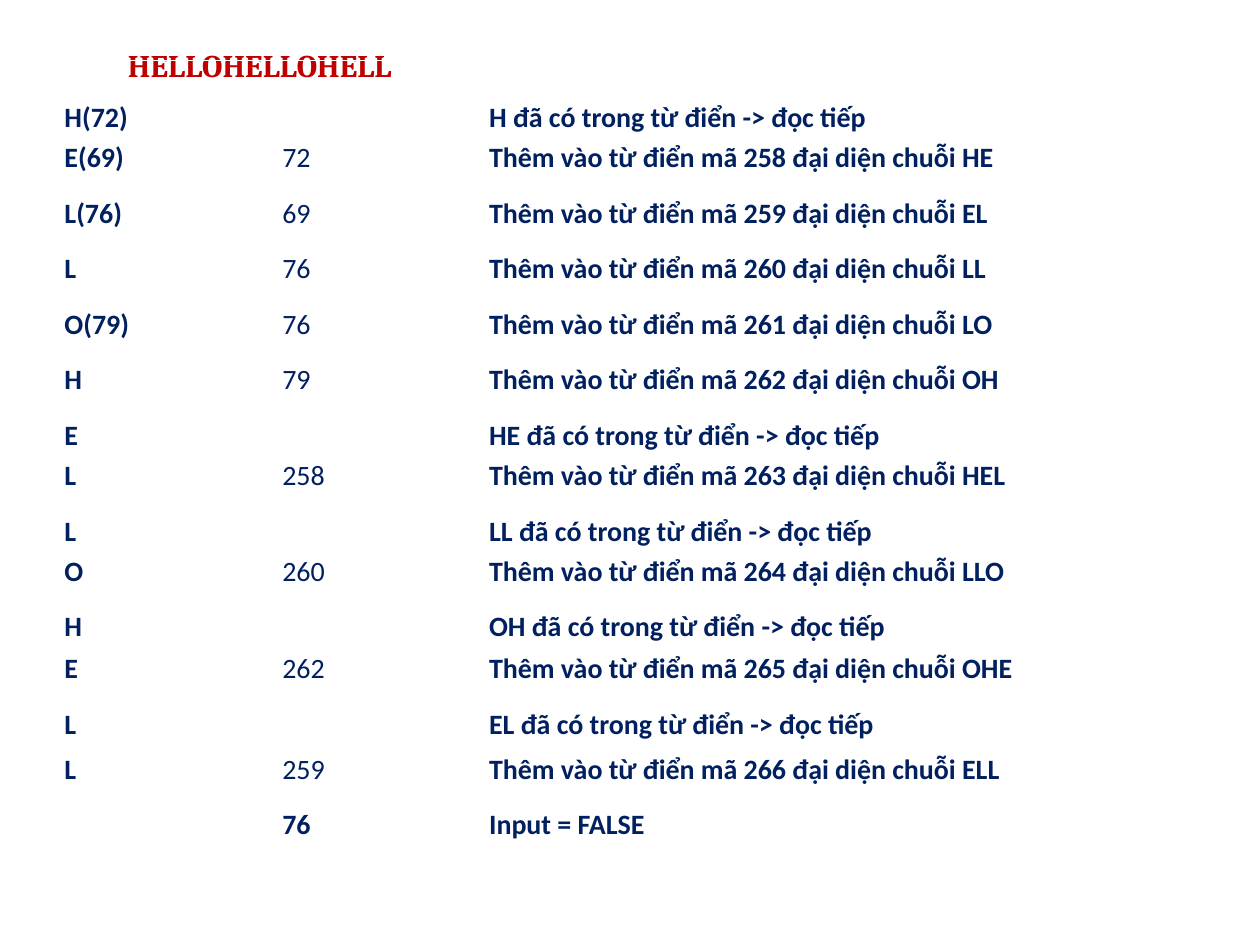
import pptx
import pptx.util
import pptx.dml.color

Cm, Pt = pptx.util.Cm, pptx.util.Pt
NAVY = pptx.dml.color.RGBColor(0x00, 0x20, 0x60)
RED = pptx.dml.color.RGBColor(0xC0, 0x00, 0x00)
WHITE = pptx.dml.color.RGBColor(0xFF, 0xFF, 0xFF)

INPUT_STRING = "HELLOHELLOHELL"
SHORT, TALL = 0.81, 1.12
COLUMN_WIDTHS = (4.04, 4.04, 14.91)
COLUMN_INDENTS = (0.08, 0.43, 0.56)
TITLE_INDENT = 1.36
FIRST_NEW_CODE = 258

# Each step: symbol read, code sent out, string looked up, row height
STEPS = (
    ("H(72)", "", "H", SHORT),
    ("E(69)", "72", "HE", TALL),
    ("L(76)", "69", "EL", TALL),
    ("L", "76", "LL", TALL),
    ("O(79)", "76", "LO", TALL),
    ("H", "79", "OH", TALL),
    ("E", "", "HE", SHORT),
    ("L", "258", "HEL", TALL),
    ("L", "", "LL", SHORT),
    ("O", "260", "LLO", TALL),
    ("H", "", "OH", 0.84),
    ("E", "262", "OHE", TALL),
    ("L", "", "EL", 0.91),
    ("L", "259", "ELL", TALL),
)


def encoding_rows():
    """Return the texts and height of every row below the title."""
    rows = []
    new_code = FIRST_NEW_CODE
    for symbol, output, string, height in STEPS:
        if output:
            action = f"Thêm vào từ điển mã {new_code} đại diện chuỗi {string}"
            new_code += 1
        else:
            action = f"{string} đã có trong từ điển -> đọc tiếp"
        rows.append(((symbol, output, action), height))
    rows.append((("", "76", "Input = FALSE"), SHORT))
    return rows


def write_cell(cell, text, indent, size=16, font="Calibri", color=NAVY, bold=True):
    """Write one indented line of text into a cell and return its paragraph."""
    paragraph = cell.text_frame.paragraphs[0]
    paragraph.text = text
    paragraph._p.get_or_add_pPr().set("marL", str(Cm(indent)))
    style = paragraph.runs[0].font
    style.name, style.size, style.bold = font, Pt(size), bold
    style.color.rgb = color
    return paragraph


def add_encoding_table(slide, left, top):
    """Place the step-by-step encoding table with its corner at left, top."""
    rows = encoding_rows()
    heights = [SHORT] + [height for _, height in rows]
    table = slide.shapes.add_table(
        len(heights), len(COLUMN_WIDTHS), left, top,
        Cm(sum(COLUMN_WIDTHS)), Cm(sum(heights))).table
    table.first_row = table.horz_banding = False
    for column, width in zip(table.columns, COLUMN_WIDTHS):
        column.width = Cm(width)
    for row, height in zip(table.rows, heights):
        row.height = Cm(height)
    for cell in table.iter_cells():
        cell.fill.solid()
        cell.fill.fore_color.rgb = WHITE
        cell.margin_left = cell.margin_right = cell.margin_top = cell.margin_bottom = 0

    table.cell(0, 0).merge(table.cell(0, 2))
    heading = write_cell(table.cell(0, 0), INPUT_STRING, TITLE_INDENT, 18, "Cambria", RED)
    heading.line_spacing = Pt(14.3)

    for row_index, (texts, _) in enumerate(rows, start=1):
        for column_index, text in enumerate(texts):
            if text:
                bold = column_index != 1 or row_index == len(rows)
                paragraph = write_cell(table.cell(row_index, column_index), text,
                                       COLUMN_INDENTS[column_index], bold=bold)
                paragraph.space_before = Pt(3.5)


def main():
    """Build the slide and save it."""
    presentation = pptx.Presentation()
    presentation.slide_width, presentation.slide_height = Cm(25.4), Cm(19.05)
    slide = presentation.slides.add_slide(presentation.slide_layouts[6])
    add_encoding_table(slide, Cm(1.22), Cm(1.22))
    presentation.save("out.pptx")


if __name__ == "__main__":
    main()
